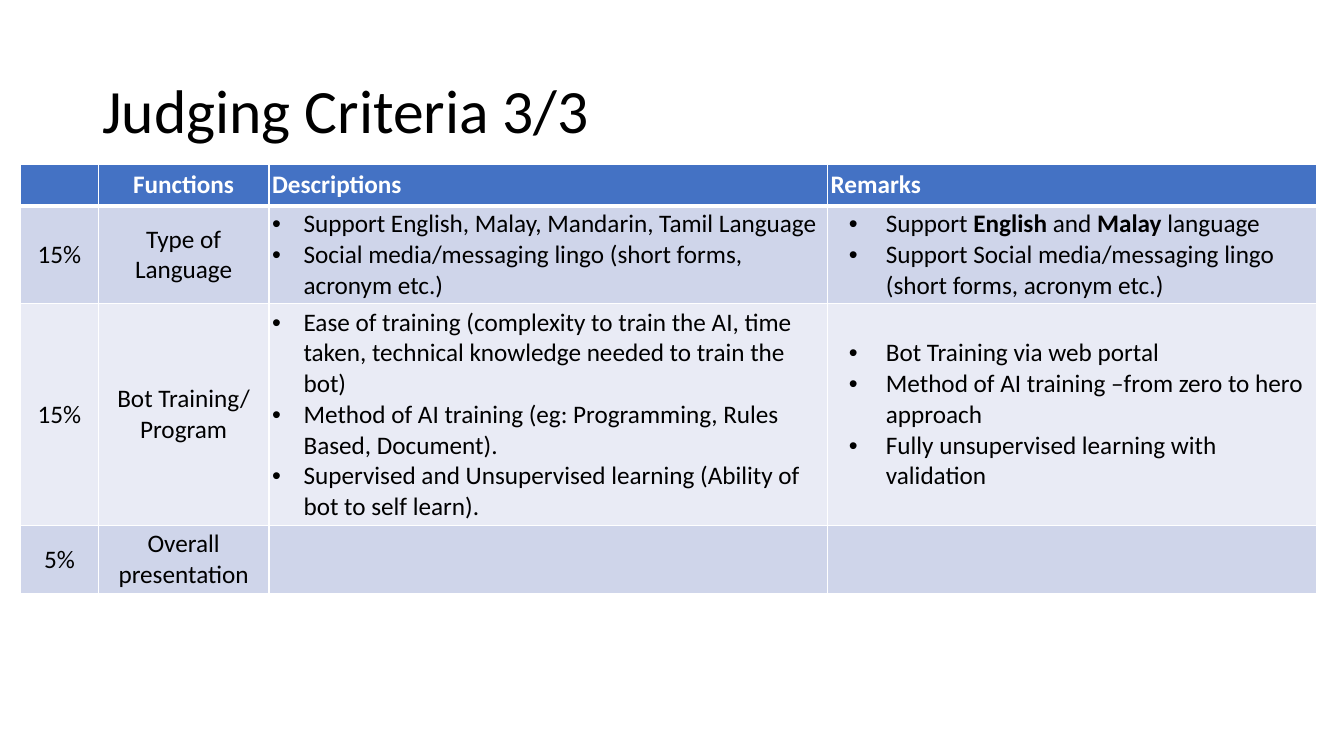
from dataclasses import dataclass
from lxml.etree import SubElement
from pptx import Presentation
from pptx.dml.color import RGBColor
from pptx.enum.text import MSO_ANCHOR, PP_ALIGN
from pptx.oxml import parse_xml
from pptx.oxml.ns import nsdecls, qn
from pptx.util import Pt


@dataclass(frozen=True)
class Theme:
    font: str = "Calibri"
    ink: str = "000000"
    white: str = "FFFFFF"
    head: str = "4472C4"
    bands: tuple = ("CFD5EA", "E9EBF5")
    title: int = 44
    body: int = 18
    thin: int = 1
    thick: int = 3


THEME = Theme()
COLS = (55.5, 122, 399, 349)
ROWS = (29.5, 70, 158.5, 48.5)
INDENTS = {2: (22.5, -22.5), 3: (39.5, -26.5)}  # column: margin, hanging indent
INSET = 2.2

# Each cell is a list of paragraphs; asterisks enclose bold words.
CELLS = (
    ([], ["*Functions*"], ["*Descriptions*"], ["*Remarks*"]),
    (
        ["15%"],
        ["Type of Language"],
        [
            "Support English, Malay, Mandarin, Tamil Language",
            "Social media/messaging lingo (short forms, acronym etc.)",
        ],
        [
            "Support *English* and *Malay *language",
            "Support Social media/messaging lingo (short forms, acronym etc.)",
        ],
    ),
    (
        ["15%"],
        ["Bot Training/ Program"],
        [
            "Ease of training (complexity to train the AI, time taken, "
            "technical knowledge needed to train the bot)",
            "Method of AI training (eg: Programming, Rules Based, Document).",
            "Supervised and Unsupervised learning (Ability of bot to self learn).",
        ],
        [
            "Bot Training via web portal",
            "Method of AI training –from zero to hero approach",
            "Fully unsupervised learning with validation",
        ],
    ),
    (["5%"], ["Overall presentation"], [], []),
)


def apply(item, **values):
    for name, value in values.items():
        setattr(item, name, value)


def write(para, text, size, color):
    """Add the text as runs, bold between asterisks."""
    for i, part in enumerate(text.split("*")):
        if part:
            run = para.add_run()
            run.text = part
            apply(run.font, name=THEME.font, size=Pt(size), bold=i % 2 == 1)
            run.font.color.rgb = RGBColor.from_string(color)


def bullet(para, margin, hang):
    props = para._p.get_or_add_pPr()
    props.set("marL", str(Pt(margin)))
    props.set("indent", str(Pt(hang)))
    SubElement(props, qn("a:buFont")).set("typeface", "Arial")
    SubElement(props, qn("a:buChar")).set("char", "•")


def border(cell, row):
    """Draw white edges, with a thick rule below the header row."""
    widths = {"L": THEME.thin, "R": THEME.thin, "T": THEME.thin, "B": THEME.thin}
    if row < 2:
        widths["B" if row == 0 else "T"] = THEME.thick
    props = cell._tc.get_or_add_tcPr()
    for i, (side, width) in enumerate(widths.items()):
        props.insert(i, parse_xml(
            f'<a:ln{side} {nsdecls("a")} w="{Pt(width)}"><a:solidFill>'
            f'<a:srgbClr val="{THEME.white}"/></a:solidFill></a:ln{side}>'))


def fill_cell(cell, row, col, lines):
    color = THEME.bands[(row - 1) % 2] if row else THEME.head
    cell.fill.solid()
    cell.fill.fore_color.rgb = RGBColor.from_string(color)
    border(cell, row)
    sides = ("left", "right", "top", "bottom")
    apply(cell, vertical_anchor=MSO_ANCHOR.MIDDLE,
          **{f"margin_{side}": Pt(INSET) for side in sides})
    frame = cell.text_frame
    frame.paragraphs[0].font.size = Pt(THEME.body)
    for i, line in enumerate(lines):
        para = frame.add_paragraph() if i else frame.paragraphs[0]
        para.alignment = PP_ALIGN.CENTER if col < 2 else PP_ALIGN.LEFT
        if row and col in INDENTS:
            bullet(para, *INDENTS[col])
        write(para, line, THEME.body, THEME.ink if row else THEME.white)


def add_title(slide, box, text):
    frame = slide.shapes.add_textbox(*map(Pt, box)).text_frame
    apply(frame, word_wrap=True, vertical_anchor=MSO_ANCHOR.MIDDLE)
    para = frame.paragraphs[0]
    para.line_spacing = 0.9
    write(para, text, THEME.title, THEME.ink)


def add_grid(slide, left, top):
    box = (left, top, sum(COLS), sum(ROWS))
    table = slide.shapes.add_table(len(ROWS), len(COLS), *map(Pt, box)).table
    for col, width in zip(table.columns, COLS):
        col.width = Pt(width)
    for r, (row, high) in enumerate(zip(table.rows, ROWS)):
        row.height = Pt(high)
        for c, lines in enumerate(CELLS[r]):
            fill_cell(table.cell(r, c), r, c, lines)


def main():
    deck = Presentation()
    apply(deck, slide_width=Pt(960), slide_height=Pt(540))
    slide = deck.slides.add_slide(deck.slide_layouts[6])
    add_title(slide, (66, 28.75, 828, 104.4), "Judging Criteria 3/3")
    add_grid(slide, 14.7, 117.5)
    deck.save("out.pptx")


if __name__ == "__main__":
    main()
